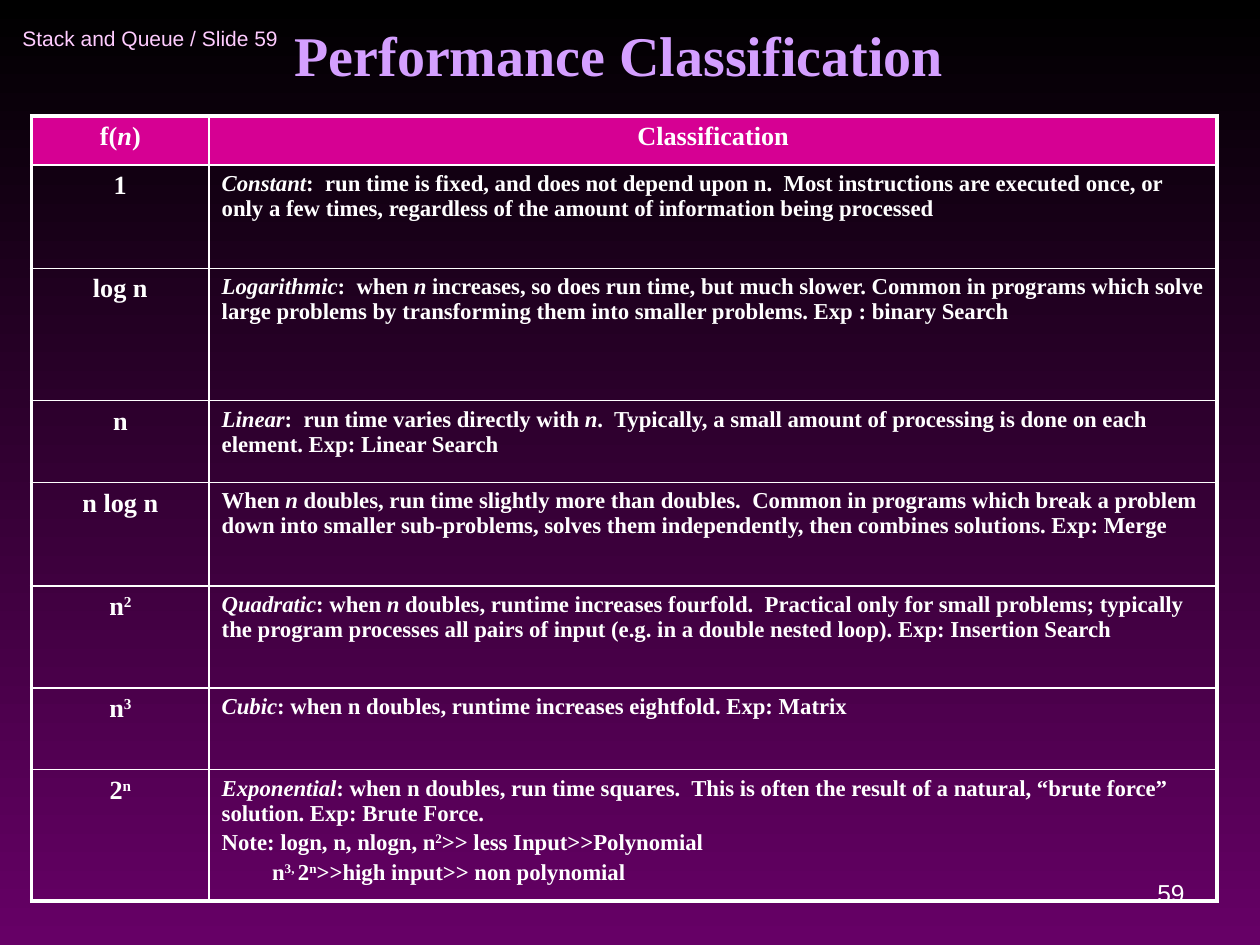
from lxml import etree
from pptx import Presentation
from pptx.dml.color import RGBColor
from pptx.enum.text import MSO_ANCHOR, MSO_AUTO_SIZE, PP_ALIGN
from pptx.oxml.ns import qn
from pptx.util import Inches, Pt

LEFT, CENTER, RIGHT = PP_ALIGN.LEFT, PP_ALIGN.CENTER, PP_ALIGN.RIGHT
MIDDLE, BOTTOM = MSO_ANCHOR.MIDDLE, MSO_ANCHOR.BOTTOM
NO_AUTOFIT = MSO_AUTO_SIZE.NONE

BLACK = RGBColor(0x00, 0x00, 0x00)
PURPLE = RGBColor(0x66, 0x00, 0x66)
MAGENTA = RGBColor(0xD6, 0x00, 0x93)
LILAC = RGBColor(0xD4, 0x9F, 0xFF)
PINK = RGBColor(0xFF, 0xCC, 0xFF)
WHITE = RGBColor(0xFF, 0xFF, 0xFF)

SERIF, SANS = "Times New Roman", "Arial"
WIDTH, HEIGHT = 10, 7.5
KEY_SIZE, TEXT_SIZE = 15, 13
OUTER_LINE, INNER_LINE = 2.25, 1
NOTE_INDENT = 0.4
COLUMNS = [1.41, 8]
ROWS = [0.39, 0.82, 1.05, 0.65, 0.82, 0.81, 0.65, 0.97]

PLAIN, ITALIC, SUPER = "plain", "italic", "super"


def plain(text):
    return (text, PLAIN)


def italic(text):
    return (text, ITALIC)


def superscript(text):
    return (text, SUPER)


HEADER = ([plain("f("), italic("n"), plain(")")], [plain("Classification")])
CLASSES = [
    ([plain("1")], [[italic("Constant"), plain(
        ":  run time is fixed, and does not depend upon n.  Most instructions are executed "
        "once, or only a few times, regardless of the amount of information being processed")]]),
    ([plain("log n")], [[italic("Logarithmic"), plain(":  when "), italic("n"), plain(
        " increases, so does run time, but much slower. Common in programs which solve large "
        "problems by transforming them into smaller problems. Exp : binary Search")]]),
    ([plain("n")], [[italic("Linear"), plain(":  run time varies directly with"), italic(" n"), plain(
        ".  Typically, a small amount of processing is done on each element. Exp: Linear Search")]]),
    ([plain("n log n")], [[plain("When "), italic("n"), plain(
        " doubles, run time slightly more than doubles.  Common in programs which break a "
        "problem down into smaller sub-problems, solves them independently, then combines "
        "solutions. Exp: Merge")]]),
    ([plain("n"), superscript("2")], [[italic("Quadratic"), plain(": when "), italic("n "), plain(
        "doubles, runtime increases fourfold.  Practical only for small problems; typically the "
        "program processes all pairs of input (e.g. in a double nested loop). "
        "Exp: Insertion Search")]]),
    ([plain("n"), superscript("3")], [[italic("Cubic"), plain(
        ": when n doubles, runtime increases eightfold. Exp: Matrix")]]),
    ([plain("2"), superscript("n")], [
        [italic("Exponential"), plain(
            ": when n doubles, run time squares.  This is often the result of a natural, "
            "“brute force” solution. Exp: Brute Force.")],
        [plain("Note: logn, n, nlogn, n"), superscript("2"), plain(">> less Input>>Polynomial")],
        [plain("n"), superscript("3, "), plain("2"), superscript("n"),
         plain(">>high input>> non polynomial")],
    ]),
]


def share_box(left, top, width, height):
    return (Inches(left * WIDTH), Inches(top * HEIGHT),
            Inches(width * WIDTH), Inches(height * HEIGHT))


def add_runs(paragraph, runs, size, font_name, color, bold=False):
    for text, style in runs:
        run = paragraph.add_run()
        run.text = text
        font = run.font
        font.size, font.name, font.bold = Pt(size), font_name, bold
        font.italic = style == ITALIC
        font.color.rgb = color
        if style == SUPER:
            font._element.set("baseline", "30000")


def paint_background(slide):
    fill = slide.background.fill
    fill.gradient()
    fill.gradient_angle = 270
    for stop, position, color in zip(fill.gradient_stops, (0, 1), (BLACK, PURPLE)):
        stop.position = position
        stop.color.rgb = color


def place_title(slide, box, text):
    title = slide.shapes.title
    title.left, title.top, title.width, title.height = box
    frame = title.text_frame
    frame.auto_size, frame.vertical_anchor = NO_AUTOFIT, BOTTOM
    paragraph = frame.paragraphs[0]
    paragraph.alignment = CENTER
    add_runs(paragraph, [plain(text)], 32, SERIF, LILAC, bold=True)


def add_label(slide, box, text, size, color, alignment):
    frame = slide.shapes.add_textbox(*box).text_frame
    frame.word_wrap, frame.vertical_anchor = True, MIDDLE
    paragraph = frame.paragraphs[0]
    paragraph.alignment = alignment
    add_runs(paragraph, [plain(text)], size, SANS, color)


def set_borders(cell, widths):
    properties = cell._tc.get_or_add_tcPr()
    for side, width in zip(("lnL", "lnR", "lnT", "lnB"), widths):
        line = etree.SubElement(properties, qn("a:" + side), w=str(Pt(width)))
        fill = etree.SubElement(line, qn("a:solidFill"))
        etree.SubElement(fill, qn("a:srgbClr"), val=str(WHITE))


def fill_cell(cell, paragraphs, size, alignment):
    frame = cell.text_frame
    for index, runs in enumerate(paragraphs):
        paragraph = frame.add_paragraph() if index else frame.paragraphs[0]
        paragraph.alignment = alignment
        paragraph.space_before = Pt(size * 0.2)
        add_runs(paragraph, runs, size, SERIF, WHITE, bold=True)


def add_class_table(slide, box):
    table = slide.shapes.add_table(len(ROWS), len(COLUMNS), *box).table
    table.first_row = table.horz_banding = False
    for column, width in zip(table.columns, COLUMNS):
        column.width = Inches(width)
    for row, height in zip(table.rows, ROWS):
        row.height = Inches(height)

    last_row, last_column = len(ROWS) - 1, len(COLUMNS) - 1
    for row in range(len(ROWS)):
        for column in range(len(COLUMNS)):
            cell = table.cell(row, column)
            edges = (column == 0, column == last_column, row == 0, row == last_row)
            set_borders(cell, [OUTER_LINE if edge else INNER_LINE for edge in edges])
            if row == 0:
                cell.fill.solid()
                cell.fill.fore_color.rgb = MAGENTA
            else:
                cell.fill.background()

    for column, runs in enumerate(HEADER):
        fill_cell(table.cell(0, column), [runs], KEY_SIZE, CENTER)
    for row, (key, description) in enumerate(CLASSES, start=1):
        fill_cell(table.cell(row, 0), [key], KEY_SIZE, CENTER)
        fill_cell(table.cell(row, 1), description, TEXT_SIZE, LEFT)

    note = table.cell(last_row, last_column).text_frame.paragraphs[-1]
    note._p.get_or_add_pPr().set("marL", str(Inches(NOTE_INDENT)))


def main():
    presentation = Presentation()
    presentation.slide_width, presentation.slide_height = Inches(WIDTH), Inches(HEIGHT)
    slide = presentation.slides.add_slide(presentation.slide_layouts[5])
    paint_background(slide)
    add_label(slide, share_box(0.008, 0.01, 0.275, 0.06),
              "Stack and Queue / Slide 59", 12, PINK, LEFT)
    place_title(slide, share_box(0.025, 0, 0.933, 0.1), "Performance Classification")
    table_box = (Inches(0.25), Inches(0.92), Inches(sum(COLUMNS)), Inches(sum(ROWS)))
    add_class_table(slide, table_box)
    add_label(slide, share_box(0.717, 0.91, 0.233, 0.07), "59", 14, WHITE, RIGHT)
    presentation.save("out.pptx")


if __name__ == "__main__":
    main()
